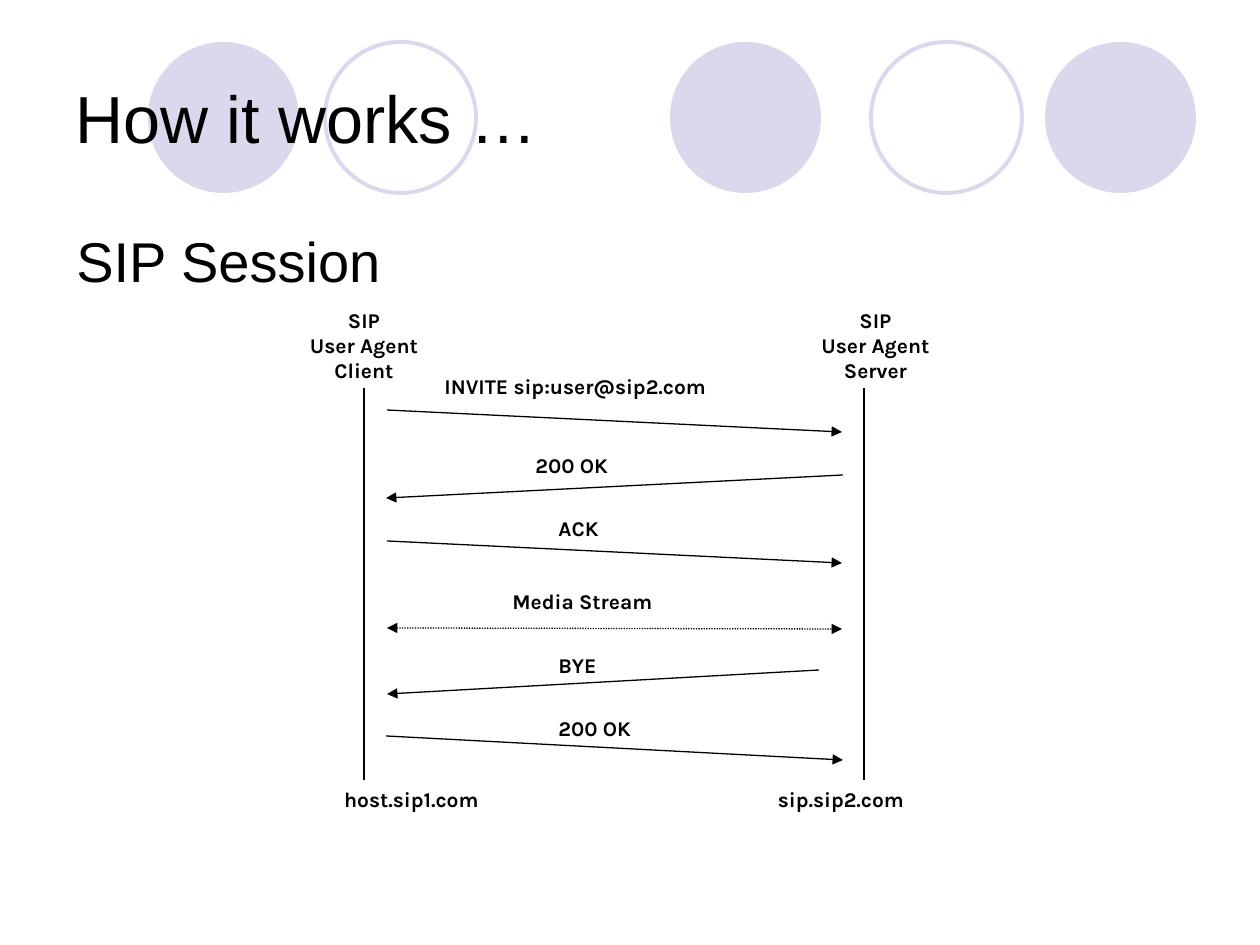
from dataclasses import dataclass

import pptx
import pptx.dml.color
import pptx.enum.dml
import pptx.enum.shapes
import pptx.enum.text
import pptx.oxml
import pptx.oxml.ns
import pptx.util

PIXEL = pptx.util.Inches(1) / 126
LAVENDER = "D9D8EC"
BLACK = "000000"
CIRCLE_SIZE = 151
ALIGN = pptx.enum.text.PP_ALIGN
ANCHOR = pptx.enum.text.MSO_ANCHOR


@dataclass
class Circle:
    left: int
    top: int
    filled: bool


@dataclass
class Label:
    text: str
    left: int
    top: int
    width: int
    height: int
    align: ALIGN = ALIGN.LEFT
    font: str = "Karla"
    size: int = 12
    bold: bool = True
    anchor: ANCHOR = ANCHOR.TOP
    space_before: int = 0


@dataclass
class Line:
    start: tuple[int, int]
    end: tuple[int, int]
    arrows: tuple[str, ...] = ()
    dotted: bool = False


CIRCLES = [
    Circle(670, 42, True),
    Circle(1045, 42, True),
    Circle(148, 42, True),
    Circle(871, 42, False),
    Circle(325, 42, False),
]

HEADINGS = [
    Label("How it works …", 63, 38, 1134, 157, font="Arial", size=38,
          bold=False, anchor=ANCHOR.MIDDLE),
    Label("SIP Session", 64, 220, 1133, 624, font="Arial", size=32,
          bold=False, space_before=8),
]

PARTICIPANTS = [
    Label("SIP\nUser Agent\nClient", 273, 301, 182, 87, ALIGN.CENTER),
    Label("SIP\nUser Agent\nServer", 796, 301, 159, 87, ALIGN.CENTER),
    Label("host.sip1.com", 273, 780, 277, 87, ALIGN.CENTER),
    Label("sip.sip2.com", 727, 780, 228, 87, ALIGN.CENTER),
]

MESSAGES = [
    Label("INVITE sip:user@sip2.com", 432, 367, 410, 66),
    Label("200 OK", 523, 446, 410, 66),
    Label("ACK", 546, 509, 410, 66),
    Label("Media Stream", 500, 582, 251, 54),
    Label("BYE", 546, 646, 251, 54),
    Label("200 OK", 546, 709, 296, 54),
]

LIFELINES = [Line((x, 388), (x, 780)) for x in (364, 864)]

ARROWS = [
    Line((387, 410), (842, 432), ("tailEnd",)),
    Line((843, 475), (386, 498), ("tailEnd",)),
    Line((387, 541), (842, 563), ("tailEnd",)),
    Line((387, 628), (842, 629), ("headEnd", "tailEnd"), dotted=True),
    Line((819, 670), (387, 694), ("tailEnd",)),
    Line((386, 736), (843, 760), ("tailEnd",)),
]


def px(value: int) -> int:
    return round(value * PIXEL)


def color(value: str) -> pptx.dml.color.RGBColor:
    return pptx.dml.color.RGBColor.from_string(value)


def draw_circle(page, circle: Circle) -> None:
    shape = page.shapes.add_shape(
        pptx.enum.shapes.MSO_SHAPE.OVAL, px(circle.left), px(circle.top),
        px(CIRCLE_SIZE), px(CIRCLE_SIZE))
    shape.shadow.inherit = False
    if circle.filled:
        shape.fill.solid()
        shape.fill.fore_color.rgb = color(LAVENDER)
        shape.line.fill.background()
    else:
        shape.fill.background()
        shape.line.color.rgb = color(LAVENDER)
        shape.line.width = pptx.util.Pt(2.25)


def draw_label(page, label: Label) -> None:
    box = page.shapes.add_textbox(
        px(label.left), px(label.top), px(label.width), px(label.height))
    frame = box.text_frame
    frame.word_wrap = True
    frame.vertical_anchor = label.anchor
    frame.text = label.text
    for para in frame.paragraphs:
        para.alignment = label.align
        para.space_before = pptx.util.Pt(label.space_before)
        para.font.name = label.font
        para.font.size = pptx.util.Pt(label.size)
        para.font.bold = label.bold
        para.font.color.rgb = color(BLACK)


def draw_line(page, line: Line) -> None:
    connector = page.shapes.add_connector(
        pptx.enum.shapes.MSO_CONNECTOR.STRAIGHT,
        *map(px, line.start + line.end))
    connector.line.color.rgb = color(BLACK)
    connector.line.width = pptx.util.Pt(0.75)
    if line.dotted:
        connector.line.dash_style = pptx.enum.dml.MSO_LINE.ROUND_DOT
    outline = connector.line._get_or_add_ln()
    for end in line.arrows:
        arrowhead = pptx.oxml.parse_xml(
            f'<a:{end} {pptx.oxml.ns.nsdecls("a")} type="triangle"/>')
        outline.append(arrowhead)
    connector._element.spPr.append(pptx.oxml.parse_xml(
        f'<a:effectLst {pptx.oxml.ns.nsdecls("a")}/>'))


def main() -> None:
    deck = pptx.Presentation()
    deck.slide_width = px(1260)
    deck.slide_height = px(945)
    page = deck.slides.add_slide(deck.slide_layouts[6])
    for circle in CIRCLES:
        draw_circle(page, circle)
    for label in HEADINGS + PARTICIPANTS + MESSAGES:
        draw_label(page, label)
    for line in LIFELINES + ARROWS:
        draw_line(page, line)
    deck.save("out.pptx")


main()
